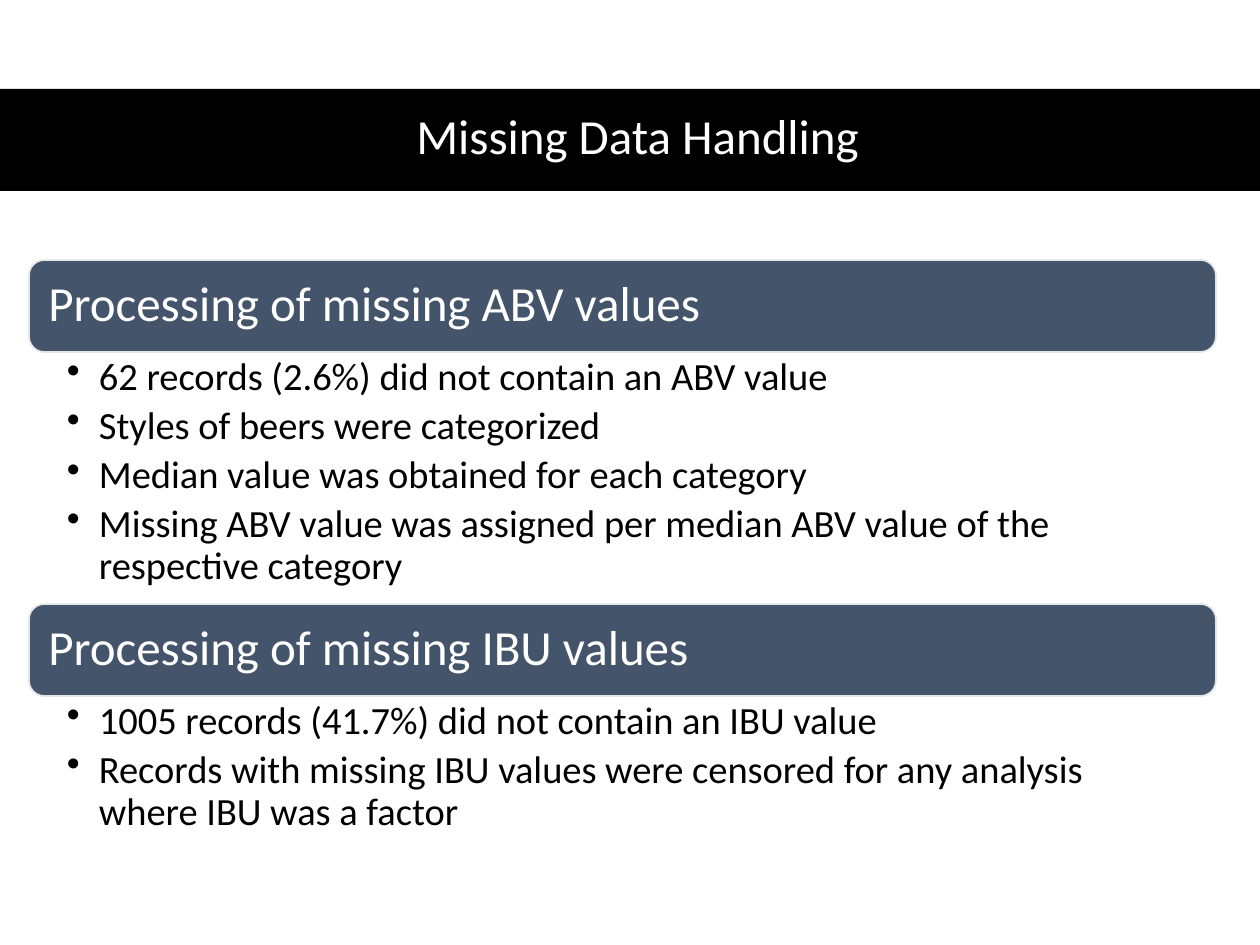
"""Build the slide on how missing ABV and IBU values were handled."""
import pptx
import pptx.util
import pptx.dml.color
import pptx.enum.shapes
import pptx.enum.text
import pptx.oxml.ns
import lxml.etree

TITLE = "Missing Data Handling"
PARTS = [
    {"head": "Processing of missing ABV values", "top": 260, "tall": 252,
     "items": ["62 records (2.6%) did not contain an ABV value",
               "Styles of beers were categorized",
               "Median value was obtained for each category",
               "Missing ABV value was assigned per median ABV value of the "
               "respective category"]},
    {"head": "Processing of missing IBU values", "top": 604, "tall": 147,
     "items": ["1005 records (41.7%) did not contain an IBU value",
               "Records with missing IBU values were censored for any analysis "
               "where IBU was a factor"]},
]
RGB = pptx.dml.color.RGBColor
BLACK, WHITE = RGB(0, 0, 0), RGB(255, 255, 255)
SLATE, PALE = RGB(0x44, 0x54, 0x6A), RGB(0xE7, 0xE6, 0xE6)
ALIGN = pptx.enum.text.PP_ALIGN
ANCHOR = pptx.enum.text.MSO_ANCHOR
SHAPE = pptx.enum.shapes.MSO_SHAPE
LEFT, WIDE, BAR = 29, 1187, 92
HEAD_FONT = {"size": pptx.util.Pt(28), "name": "Calibri", "bold": False}
ITEM_FONT = {**HEAD_FONT, "size": pptx.util.Pt(22)}


def px(n):
    return round(n * 914400 / 126)


def put(thing, vals):
    for key, val in vals.items():
        setattr(thing, key, val)


def write(frame, lines, font, color, para, pads, anchor):
    put(frame, {"word_wrap": True, "vertical_anchor": anchor,
                "auto_size": pptx.enum.text.MSO_AUTO_SIZE.NONE})
    sides = ("margin_left", "margin_top", "margin_right", "margin_bottom")
    put(frame, dict(zip(sides, map(px, pads))))
    frame.text = "\n".join(lines)
    for par in frame.paragraphs:
        put(par, {"line_spacing": 0.9, **para})
        put(par.runs[0].font, font)
        par.runs[0].font.color.rgb = color


def add_bar(slide, kind, box, fill, line=None):
    bar = slide.shapes.add_shape(kind, *map(px, box))
    bar.shadow.inherit = False
    bar.fill.solid()
    bar.fill.fore_color.rgb = fill
    if line:
        bar.line.color.rgb = line
        bar.line.width = pptx.util.Pt(1)
    else:
        bar.line.fill.background()
    return bar


def add_dot(par):
    props = par._p.get_or_add_pPr()
    props.set("marL", str(px(32)))
    props.set("indent", str(px(-32)))
    dot = lxml.etree.SubElement(props, pptx.oxml.ns.qn("a:buChar"))
    dot.set("char", "•")


def add_part(slide, part):
    top = part["top"]
    bar = add_bar(slide, SHAPE.ROUNDED_RECTANGLE, (LEFT, top, WIDE, BAR), SLATE, PALE)
    write(bar.text_frame, [part["head"]], HEAD_FONT, WHITE,
          {"alignment": ALIGN.LEFT}, (15, 15, 15, 15), ANCHOR.MIDDLE)
    box = slide.shapes.add_textbox(*map(px, (LEFT, top + BAR, WIDE, part["tall"])))
    write(box.text_frame, part["items"], ITEM_FONT, BLACK,
          {"level": 1, "space_after": pptx.util.Pt(4.4)}, (38, 5, 28, 5), ANCHOR.TOP)
    for par in box.text_frame.paragraphs:
        add_dot(par)


def main():
    deck = pptx.Presentation()
    put(deck, {"slide_width": px(1260), "slide_height": px(945)})
    slide = deck.slides.add_slide(deck.slide_layouts[5])
    title = slide.shapes.title
    band = add_bar(slide, SHAPE.RECTANGLE, (0, 89, 1260, 102), BLACK)
    title.element.addprevious(band.element)
    put(title, dict(zip(("left", "top", "width", "height"),
                        map(px, (58, 88, 1159, 102)))))
    write(title.text_frame, [TITLE], HEAD_FONT, WHITE,
          {"alignment": ALIGN.CENTER}, (13, 6, 13, 6), ANCHOR.MIDDLE)
    for part in PARTS:
        add_part(slide, part)
    deck.save("out.pptx")


if __name__ == "__main__":
    main()
